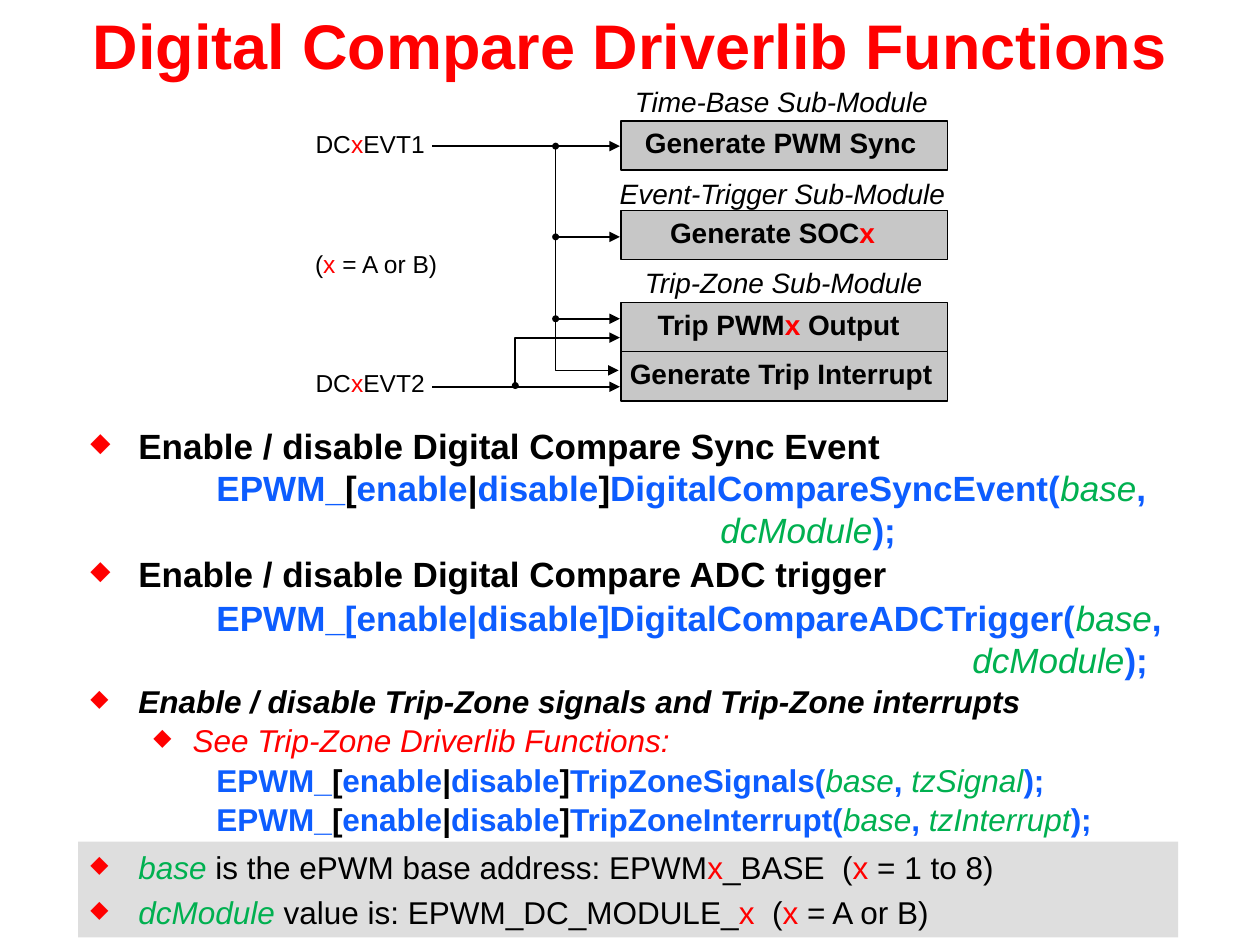
from lxml import etree
from pptx import Presentation
from pptx.dml.color import RGBColor
from pptx.enum import shapes, text
from pptx.oxml.ns import qn
from pptx.util import Inches, Pt

RED = RGBColor(0xFF, 0x00, 0x00)
BLUE = RGBColor(0x0D, 0x5D, 0xFF)
GREEN = RGBColor(0x00, 0xB0, 0x50)
BLACK = RGBColor(0x00, 0x00, 0x00)
BLOCK_GRAY = RGBColor(0xC7, 0xC7, 0xC7)
NOTE_GRAY = RGBColor(0xDE, 0xDE, 0xDE)
FONT = "Arial"


def add_runs(paragraph, runs, size, color=BLACK, bold=False, italic=False):
    """Add runs given as (text, changes to the common format)."""
    for wording, changes in runs:
        style = {"color": color, "bold": bold, "italic": italic, **changes}
        run = paragraph.add_run()
        run.text = wording
        run.font.name = FONT
        run.font.size = Pt(size)
        run.font.bold = style["bold"]
        run.font.italic = style["italic"]
        run.font.color.rgb = style["color"]


def accent(marked, color=RED):
    """Split text at ~ and colour every second part."""
    return [(part, {"color": color} if i % 2 else {})
            for i, part in enumerate(marked.split("~")) if part]


def argument(name):
    return (name, {"color": GREEN, "bold": False, "italic": True})


def epwm_call(function, second_argument, symbol_color=BLACK):
    """Runs of a call that exists in an enable and a disable form."""
    return accent(f"EPWM_~[~enable~|~disable~]~{function}(", symbol_color) + [
        argument("base"), (", ", {}), argument(second_argument), (");", {})]


def set_indent(paragraph, left, first):
    properties = paragraph._p.get_or_add_pPr()
    properties.set("marL", str(Inches(left)))
    properties.set("indent", str(Inches(first)))
    return properties


def set_bullet(paragraph, left=0.38, hanging=0.38):
    properties = set_indent(paragraph, left, -hanging)
    bullet_color = etree.SubElement(properties, qn("a:buClr"))
    etree.SubElement(bullet_color, qn("a:srgbClr")).set("val", str(RED))
    etree.SubElement(properties, qn("a:buSzPct")).set("val", "75000")
    etree.SubElement(properties, qn("a:buChar")).set("char", "◆")


def add_paragraph(frame, is_first):
    return frame.paragraphs[0] if is_first else frame.add_paragraph()


def add_label(slide, runs, left, top, width, height=0.31, align=text.PP_ALIGN.LEFT,
              inset=True, **style):
    box = slide.shapes.add_textbox(*map(Inches, (left, top, width, height)))
    frame = box.text_frame
    frame.word_wrap = not inset
    frame.auto_size = text.MSO_AUTO_SIZE.SHAPE_TO_FIT_TEXT
    if not inset:
        frame.margin_left = frame.margin_right = 0
        frame.margin_top = frame.margin_bottom = 0
    paragraph = frame.paragraphs[0]
    paragraph.alignment = align
    paragraph.line_spacing = 0.8
    add_runs(paragraph, runs, **style)


def add_rectangle(slide, left, top, width, height, fill, outlined):
    shape = slide.shapes.add_shape(shapes.MSO_SHAPE.RECTANGLE,
                                   *map(Inches, (left, top, width, height)))
    shape.shadow.inherit = False
    shape.fill.solid()
    shape.fill.fore_color.rgb = fill
    if outlined:
        shape.line.color.rgb = BLACK
        shape.line.width = Pt(1)
    else:
        shape.line.fill.background()
    return shape


def add_arrow(slide, points, dot=True):
    """Draw an arrow through the points, with a junction dot at its start."""
    points = [(Inches(x), Inches(y)) for x, y in points]
    if len(points) == 2:
        arrow = slide.shapes.add_connector(shapes.MSO_CONNECTOR.STRAIGHT,
                                           *points[0], *points[1])
        etree.SubElement(arrow._element.spPr, qn("a:effectLst"))
    else:
        builder = slide.shapes.build_freeform(*points[0])
        builder.add_line_segments(points[1:], close=False)
        arrow = builder.convert_to_shape()
        arrow.fill.background()
        arrow.shadow.inherit = False
    arrow.line.color.rgb = BLACK
    arrow.line.width = Pt(1)
    line = arrow.line._get_or_add_ln()
    if dot:
        head = etree.SubElement(line, qn("a:headEnd"))
        head.set("type", "oval")
        head.set("w", "sm")
        head.set("len", "sm")
    etree.SubElement(line, qn("a:tailEnd")).set("type", "triangle")


def add_title(slide, left, top, width, height):
    title = slide.shapes.title
    title.left, title.top, title.width, title.height = map(
        Inches, (left, top, width, height))
    title.text_frame.vertical_anchor = text.MSO_ANCHOR.MIDDLE
    title.text_frame.margin_bottom = Inches(0.15)
    paragraph = title.text_frame.paragraphs[0]
    paragraph.alignment = text.PP_ALIGN.CENTER
    add_runs(paragraph, [("Digital Compare Driverlib Functions", {})],
             size=36, color=RED, bold=True)


def add_event_diagram(slide, left, top):
    blocks = [  # label, label left, label width, block top
        ("Generate PWM Sync", 2.66, 2.36, 0.29),
        ("Generate SOC~x", 2.86, 1.87, 1.0),
        ("Trip PWM~x ~Output", 2.76, 2.18, 1.73),
        ("Generate Trip Interrupt", 2.54, 2.62, 2.12),
    ]
    for label, x, width, y in blocks:
        add_rectangle(slide, left + 2.57, top + y, 2.59, 0.39, BLOCK_GRAY, True)
        add_label(slide, accent(label), left + x, top + y + 0.04, width,
                  size=16, bold=True)

    captions = [("Time-Base Sub-Module", 2.58, 0, 2.53),
                ("Event-Trigger Sub-Module", 2.46, 0.73, 2.81),
                ("Trip-Zone Sub-Module", 2.66, 1.44, 2.42)]
    for caption, x, y, width in captions:
        add_label(slide, [(caption, {})], left + x, top + y, width,
                  size=16, italic=True)

    for event, y in (("DC~x~EVT1", 0.35), ("DC~x~EVT2", 2.25)):
        add_label(slide, accent(event), left, top + y, 1.11, 0.29,
                  align=text.PP_ALIGN.RIGHT, size=14)
    add_label(slide, accent("(~x ~= A or B)"), left + 0.07, top + 1.35, 1.04, 0.19,
              align=text.PP_ALIGN.RIGHT, inset=False, size=14)

    event_1, event_2, block_edge = 0.49, 2.4, 2.56
    start, bus_1, bus_2 = 1.07, 2.05, 1.73
    arrows = [
        ([(bus_1, event_1), (bus_1, 2.27), (block_edge - 0.01, 2.27)], True),
        ([(bus_1, 1.21), (block_edge, 1.21)], True),
        ([(bus_1, 1.86), (block_edge, 1.86)], True),
        ([(bus_2, 2.39), (bus_2, 2.01), (block_edge, 2.01)], True),
        ([(start, event_1), (block_edge, event_1)], False),
        ([(start, event_2), (block_edge, event_2)], False),
    ]
    for points, dot in arrows:
        add_arrow(slide, [(left + x, top + y) for x, y in points], dot)


def add_function_list(slide, left, top, width, height):
    box = slide.shapes.add_textbox(*map(Inches, (left, top, width, height)))
    frame = box.text_frame
    frame.word_wrap = True
    heading, call = {"bold": True}, {"bold": True, "color": BLUE}
    lines = [  # runs, size, style, left indent, first line, bulleted
        ([("Enable / disable Digital Compare Sync Event", {})],
         20, heading, 0.38, -0.38, True),
        (epwm_call("DigitalCompareSyncEvent", "dcModule"), 20, call, 5, -4, False),
        ([("Enable / disable Digital Compare ADC trigger", {})],
         20, heading, 0.38, -0.38, True),
        (epwm_call("DigitalCompareADCTrigger", "dcModule", BLUE),
         20, call, 7, -6, False),
        ([("Enable / disable Trip-Zone signals and Trip-Zone interrupts", {})],
         18, {"bold": True, "italic": True}, 0.38, -0.38, True),
        ([("See Trip-Zone Driverlib Functions:", {})],
         18, {"color": RED, "italic": True}, 0.81, -0.31, True),
        (epwm_call("TripZoneSignals", "tzSignal"), 18, call, 1, 0, False),
        (epwm_call("TripZoneInterrupt", "tzInterrupt"), 18, call, 1, 0, False),
    ]
    for i, (runs, size, style, indent, first, bulleted) in enumerate(lines):
        paragraph = add_paragraph(frame, i == 0)
        if bulleted:
            set_bullet(paragraph, indent, -first)
        else:
            set_indent(paragraph, indent, first)
        paragraph.space_after = Pt(1 if i else 0)
        add_runs(paragraph, runs, size, **style)


def add_argument_notes(slide, left, top, width, height):
    panel = add_rectangle(slide, left, top, width, height, NOTE_GRAY, False)
    frame = panel.text_frame
    frame.vertical_anchor = text.MSO_ANCHOR.MIDDLE
    notes = [("base", " is the ePWM base address: EPWM~x~_BASE  (~x~ = 1 to 8)"),
             ("dcModule ", "value is: EPWM_DC_MODULE_~x ~ (~x~ = A or B)")]
    for i, (name, meaning) in enumerate(notes):
        paragraph = add_paragraph(frame, i == 0)
        set_bullet(paragraph)
        paragraph.alignment = text.PP_ALIGN.LEFT
        if i:
            paragraph.space_before = Pt(4)
        add_runs(paragraph, [argument(name)] + accent(meaning), size=18)


def main():
    presentation = Presentation()
    presentation.slide_width, presentation.slide_height = Inches(10), Inches(7.5)
    slide = presentation.slides.add_slide(presentation.slide_layouts[5])
    add_title(slide, 0, 0, 10, 0.81)
    add_function_list(slide, 0.62, 3.32, 8.73, 3.39)
    add_argument_notes(slide, 0.62, 6.68, 8.73, 0.76)
    add_event_diagram(slide, 2.36, 0.67)
    presentation.save("out.pptx")


if __name__ == "__main__":
    main()
